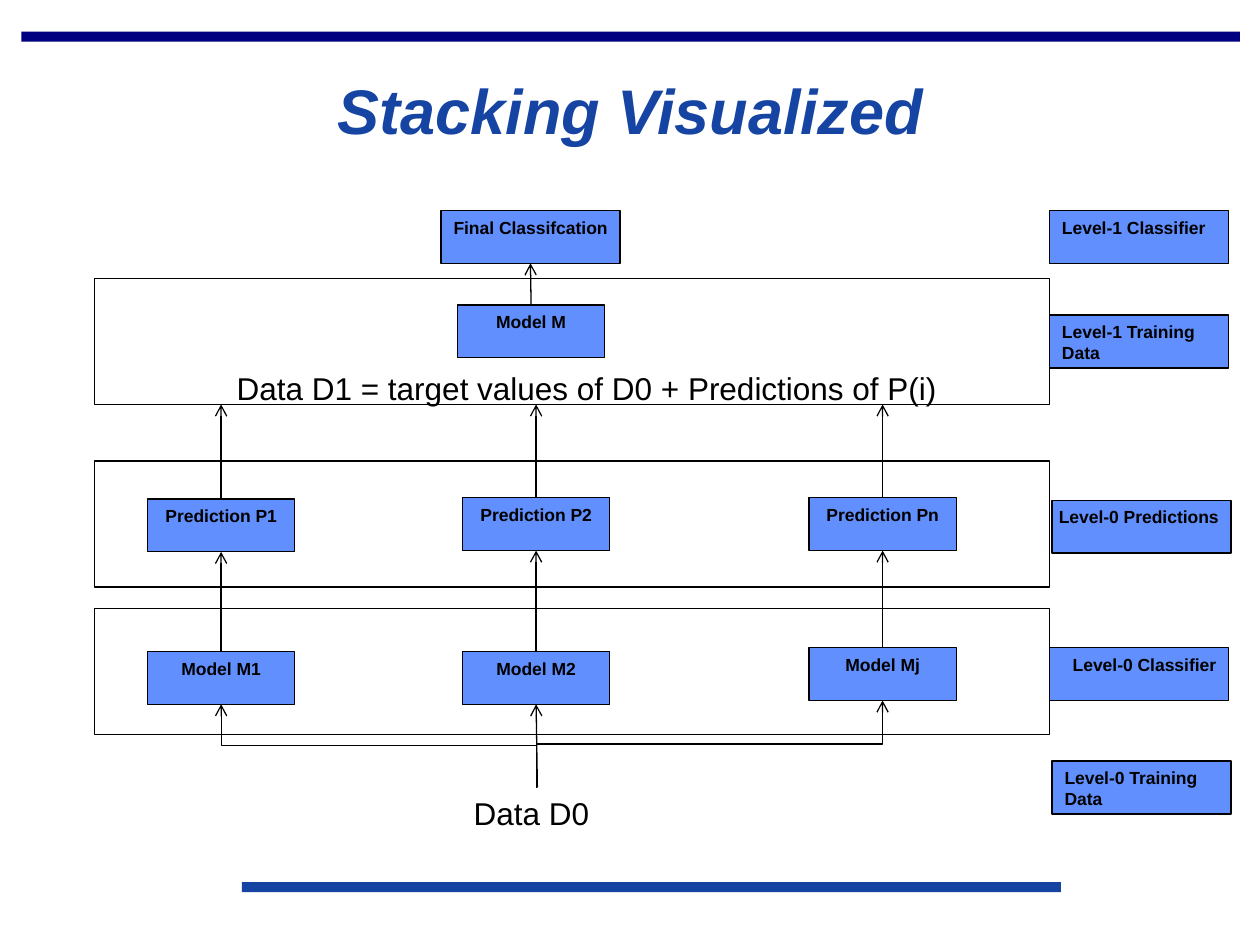
from dataclasses import dataclass

from lxml import etree
from pptx import Presentation
from pptx.dml.color import RGBColor
from pptx.enum.shapes import MSO_CONNECTOR, MSO_SHAPE
from pptx.enum.text import MSO_ANCHOR, PP_ALIGN
from pptx.oxml.ns import qn
from pptx.util import Inches, Pt

STRAIGHT, ELBOW = MSO_CONNECTOR.STRAIGHT, MSO_CONNECTOR.ELBOW
RECT = MSO_SHAPE.RECTANGLE
TOP, MIDDLE = MSO_ANCHOR.TOP, MSO_ANCHOR.MIDDLE
LEFT, CENTER, RIGHT = PP_ALIGN.LEFT, PP_ALIGN.CENTER, PP_ALIGN.RIGHT
TOP_SITE, BOTTOM_SITE = 0, 2


@dataclass(frozen=True)
class Theme:
    font: str = "Arial"
    navy: str = "000080"
    blue: str = "1544A3"
    box: str = "618FFD"
    ink: str = "000000"
    title: int = 36
    body: int = 18
    label: int = 10
    line: float = 0.75


class Deck:
    def __init__(self, slide, theme):
        self.s = slide
        self.t = theme

    def rect(self, x, y, w, h, fill=None, outlined=True):
        sp = self.s.shapes.add_shape(RECT, Inches(x), Inches(y), Inches(w), Inches(h))
        sp.shadow.inherit = False
        if fill:
            sp.fill.solid()
            sp.fill.fore_color.rgb = RGBColor.from_string(fill)
        else:
            sp.fill.background()
        if outlined:
            sp.line.color.rgb = RGBColor.from_string(self.t.ink)
            sp.line.width = Pt(self.t.line)
        else:
            sp.line.fill.background()
        return sp

    def add_lines(self, sp, lines, size, color, align, wrap, anchor=TOP, bold=False, italic=False):
        tf = sp.text_frame
        tf.word_wrap = wrap
        tf.vertical_anchor = anchor
        for i, line in enumerate(lines):
            p = tf.paragraphs[0] if i == 0 else tf.add_paragraph()
            p.alignment = align
            r = p.add_run()
            r.text = line
            r.font.name = self.t.font
            r.font.size = Pt(size)
            r.font.bold = bold
            r.font.italic = italic
            r.font.color.rgb = RGBColor.from_string(color)

    def box(self, x, y, w, *lines, align=CENTER):
        sp = self.rect(x, y, w, 0.42, self.t.box)
        self.add_lines(sp, lines, self.t.label, self.t.ink, align, False, bold=True)
        return sp

    def text(self, x, y, w, line, wrap):
        sp = self.s.shapes.add_textbox(Inches(x), Inches(y), Inches(w), Inches(0.4))
        self.add_lines(sp, [line], self.t.body, self.t.ink, LEFT, wrap)
        return sp

    def title(self, line):
        sp = self.s.shapes.add_textbox(Inches(0.17), Inches(0.33), Inches(9.67), Inches(1.14))
        self.add_lines(sp, [line], self.t.title, self.t.blue, CENTER, True, MIDDLE, True, True)
        sp.text_frame.paragraphs[0].line_spacing = 0.95

    def connector(self, kind, x1, y1, x2, y2):
        c = self.s.shapes.add_connector(kind, Inches(x1), Inches(y1), Inches(x2), Inches(y2))
        c.line.color.rgb = RGBColor.from_string(self.t.ink)
        c.line.width = Pt(self.t.line)
        etree.SubElement(c.line._get_or_add_ln(), qn("a:tailEnd"), type="arrow")
        etree.SubElement(c._element.spPr, qn("a:effectLst"))
        return c

    def arrow(self, x, y1, y2, start, end=None):
        c = self.connector(STRAIGHT, x, y1, x, y2)
        c.begin_connect(start, TOP_SITE)
        if end is not None:
            c.end_connect(end, BOTTOM_SITE)

    def branch(self, x1, y1, x2, y2):
        cx, cy = (x1 + x2) / 2, (y1 + y2) / 2
        c = self.connector(ELBOW, cx + cy - y1, cy + x1 - cx, cx + cy - y2, cy + x2 - cx)
        c._element.spPr.find(qn("a:xfrm")).set("rot", str(270 * 60000))


def main():
    prs = Presentation()
    prs.slide_width, prs.slide_height = Inches(10), Inches(7.5)
    theme = Theme()
    d = Deck(prs.slides.add_slide(prs.slide_layouts[6]), theme)

    d.rect(0.17, 0.25, 9.67, 0.08, theme.navy, outlined=False)
    d.rect(1.92, 7, 6.5, 0.08, theme.blue, outlined=False)
    d.title("Stacking Visualized")

    for y in (2.21, 3.66, 4.83):
        d.rect(0.75, y, 7.58, 1)

    for x, y, align, *lines in (
        (8.33, 1.67, LEFT, "Level-1 Classifier"),
        (8.33, 2.5, LEFT, "Level-1 Training", "Data"),
        (8.35, 3.97, RIGHT, "Level-0 Predictions"),
        (8.33, 5.14, RIGHT, "Level-0 Classifier"),
        (8.35, 6.04, LEFT, "Level-0 Training", "Data"),
    ):
        d.box(x, y, 1.42, *lines, align=align)

    final = d.box(3.5, 1.67, 1.42, "Final Classifcation")
    combiner = d.box(3.63, 2.42, 1.17, "Model M")
    d.arrow(4.21, 2.42, 2.09, combiner, final)
    d.text(1.78, 2.88, 5.81, "Data D1 = target values of D0 + Predictions of P(i)", False)
    source = d.text(3.66, 6.25, 1.21, "Data D0", True)

    for x, model_y, pred_y, model_name, pred_name in (
        (1.17, 5.17, 3.96, "Model M1", "Prediction P1"),
        (3.67, 5.17, 3.95, "Model M2", "Prediction P2"),
        (6.42, 5.14, 3.95, "Model Mj", "Prediction Pn"),
    ):
        mid = x + 1.17 / 2
        model = d.box(x, model_y, 1.17, model_name)
        pred = d.box(x, pred_y, 1.17, pred_name)
        d.arrow(mid, model_y, pred_y + 0.42, model, pred)
        d.arrow(mid, pred_y, 3.21, pred)
        if model_name == "Model M2":
            d.arrow(mid, 6.25, model_y + 0.42, source, model)
        else:
            d.branch(4.26, 6.25, mid, model_y + 0.42)

    prs.save("out.pptx")


if __name__ == "__main__":
    main()
